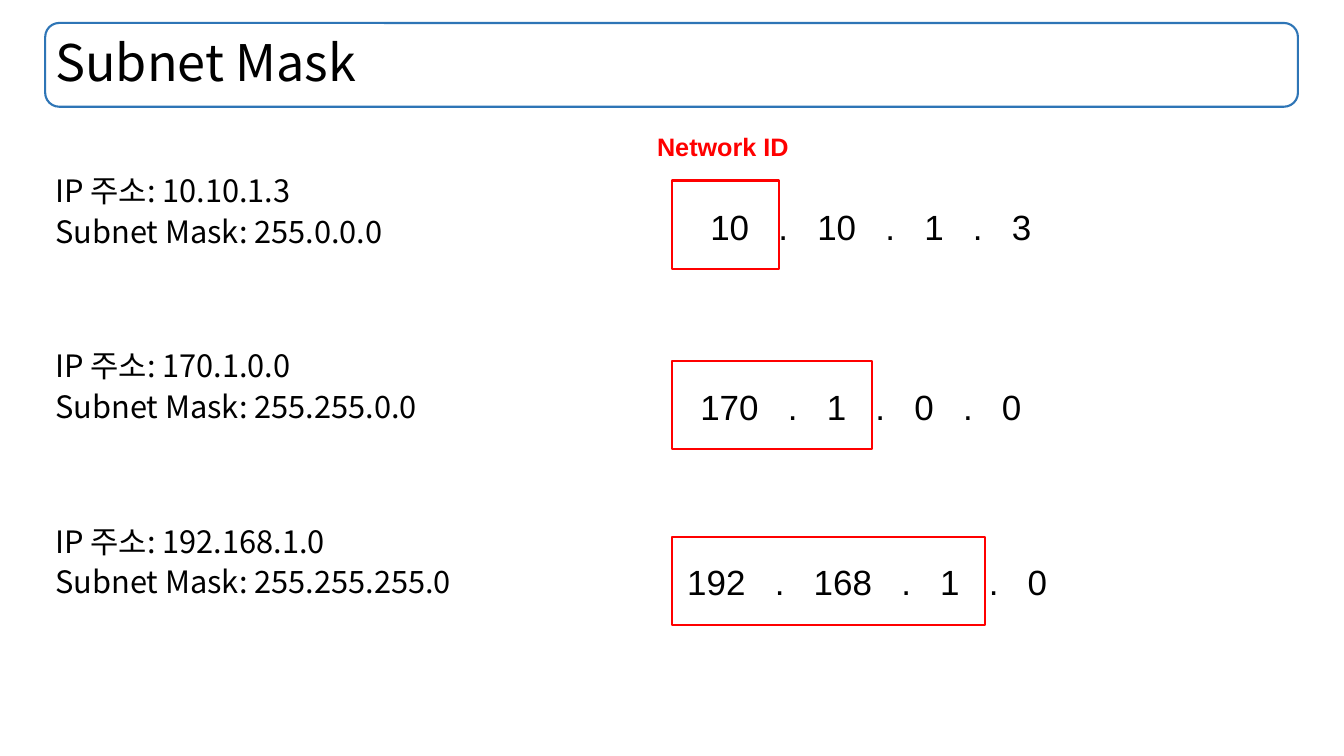
from lxml.etree import SubElement
from pptx import Presentation
from pptx.dml.color import RGBColor
from pptx.enum.shapes import MSO_SHAPE
from pptx.enum.text import MSO_ANCHOR, MSO_AUTO_SIZE, PP_ALIGN
from pptx.oxml.ns import qn
from pptx.util import Cm, Pt

TITLE = "Subnet Mask"
NETWORK_LABEL = "Network ID"
# address, mask, then in cm: frame top, frame width, octets left, octets top
NETWORKS = [
    ("10.10.1.3", "255.0.0.0", 4.55, 2.7, 17.65, 5.05),
    ("170.1.0.0", "255.255.0.0", 9.09, 5.04, 17.4, 9.58),
    ("192.168.1.0", "255.255.255.0", 13.54, 7.88, 17.07, 14.0),
]
COLORS = {"text": "000000", "title_frame": "2E75B6", "network": "FF0000"}
KOREAN_FONT = "Noto Sans CJK KR"
LATIN_FONT = "Arial"

TITLE_BOX = (Cm(1.14), Cm(0.58), Cm(31.57), Cm(2.11))
BODY_BOX = (Cm(1.14), Cm(4.38), Cm(15.8), Cm(12.87))
FRAME_LEFT, FRAME_HEIGHT = 16.94, 2.22
LINE_GAP, GROUP_GAP = 8, 75
OCTET_SIZE = 25
DIGIT_WIDTH = 0.556 * OCTET_SIZE
DOT_WIDTH = DIGIT_WIDTH / 2
OCTET_GAP = 3 * DOT_WIDTH


def format_runs(paragraph, size, name, color="text", bold=False):
    for run in paragraph.runs:
        run.font.size = Pt(size)
        run.font.name = name
        run.font.bold = bold
        run.font.color.rgb = RGBColor.from_string(COLORS[color])
        SubElement(run.font._element, qn("a:ea"), typeface=name)


def place(shape, box):
    shape.left, shape.top, shape.width, shape.height = box


def add_frame(slide, preset, box, color):
    frame = slide.shapes.add_shape(preset, *box)
    frame.shadow.inherit = False
    frame.fill.background()
    frame.line.color.rgb = RGBColor.from_string(COLORS[color])
    frame.line.width = Pt(1.5)


def add_title(slide):
    title = slide.shapes.title
    place(title, TITLE_BOX)
    title.text_frame.text = TITLE
    title.text_frame.auto_size = MSO_AUTO_SIZE.NONE
    title.text_frame.vertical_anchor = MSO_ANCHOR.MIDDLE
    paragraph = title.text_frame.paragraphs[0]
    paragraph.alignment = PP_ALIGN.LEFT
    paragraph.line_spacing = 0.9
    format_runs(paragraph, 36, KOREAN_FONT)


def add_address_list(slide):
    body = slide.placeholders[1]
    place(body, BODY_BOX)
    lines = []
    for address, mask, *_ in NETWORKS:
        lines += [f"IP 주소: {address}", f"Subnet Mask: {mask}"]
    body.text_frame.text = "\n".join(lines)
    body.text_frame.auto_size = MSO_AUTO_SIZE.NONE
    for index, paragraph in enumerate(body.text_frame.paragraphs):
        properties = paragraph._p.get_or_add_pPr()
        properties.set("marL", "0")
        properties.set("indent", "0")
        SubElement(properties, qn("a:buNone"))
        paragraph.line_spacing = 0.8
        gap = LINE_GAP if index % 2 else GROUP_GAP
        paragraph.space_before = Pt(gap if index else 0)
        format_runs(paragraph, 22, KOREAN_FONT)


def add_octets(slide, address, left, top):
    """Write the octets and dots apart, with a tab stop after each part."""
    box = slide.shapes.add_textbox(Cm(left), Cm(top), Cm(9.96), Cm(1.3))
    box.text_frame.word_wrap = True
    paragraph = box.text_frame.paragraphs[0]
    paragraph.text = address.replace(".", "\t.\t")
    tabs = SubElement(paragraph._p.get_or_add_pPr(), qn("a:tabLst"))
    position = 0
    for octet in address.split(".")[:-1]:
        for width in (len(octet) * DIGIT_WIDTH, DOT_WIDTH):
            position += width + OCTET_GAP
            SubElement(tabs, qn("a:tab"), pos=str(Pt(position)), algn="l")
    format_runs(paragraph, OCTET_SIZE, LATIN_FONT)


def add_network_label(slide):
    label = slide.shapes.add_textbox(Cm(16.31), Cm(3.18), Cm(3.89), Cm(1.02))
    label.text_frame.word_wrap = False
    label.text_frame.text = NETWORK_LABEL
    format_runs(label.text_frame.paragraphs[0], 18, LATIN_FONT, "network", True)


def main():
    presentation = Presentation()
    presentation.slide_width, presentation.slide_height = Cm(33.87), Cm(19.05)
    slide = presentation.slides.add_slide(presentation.slide_layouts[1])
    add_frame(slide, MSO_SHAPE.ROUNDED_RECTANGLE, TITLE_BOX, "title_frame")
    add_title(slide)
    add_address_list(slide)
    for address, _, frame_top, frame_width, left, top in NETWORKS:
        add_octets(slide, address, left, top)
        frame_box = (Cm(FRAME_LEFT), Cm(frame_top), Cm(frame_width), Cm(FRAME_HEIGHT))
        add_frame(slide, MSO_SHAPE.RECTANGLE, frame_box, "network")
    add_network_label(slide)
    presentation.save("out.pptx")


if __name__ == "__main__":
    main()
